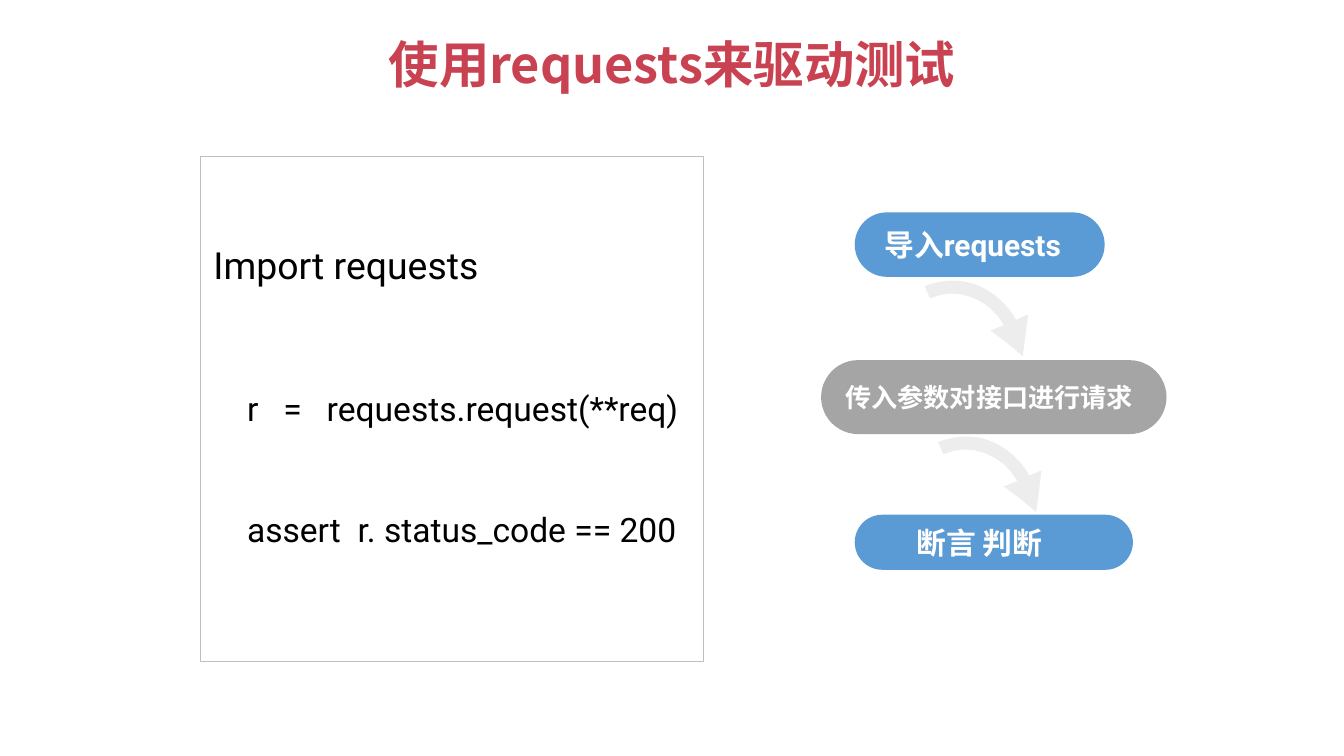
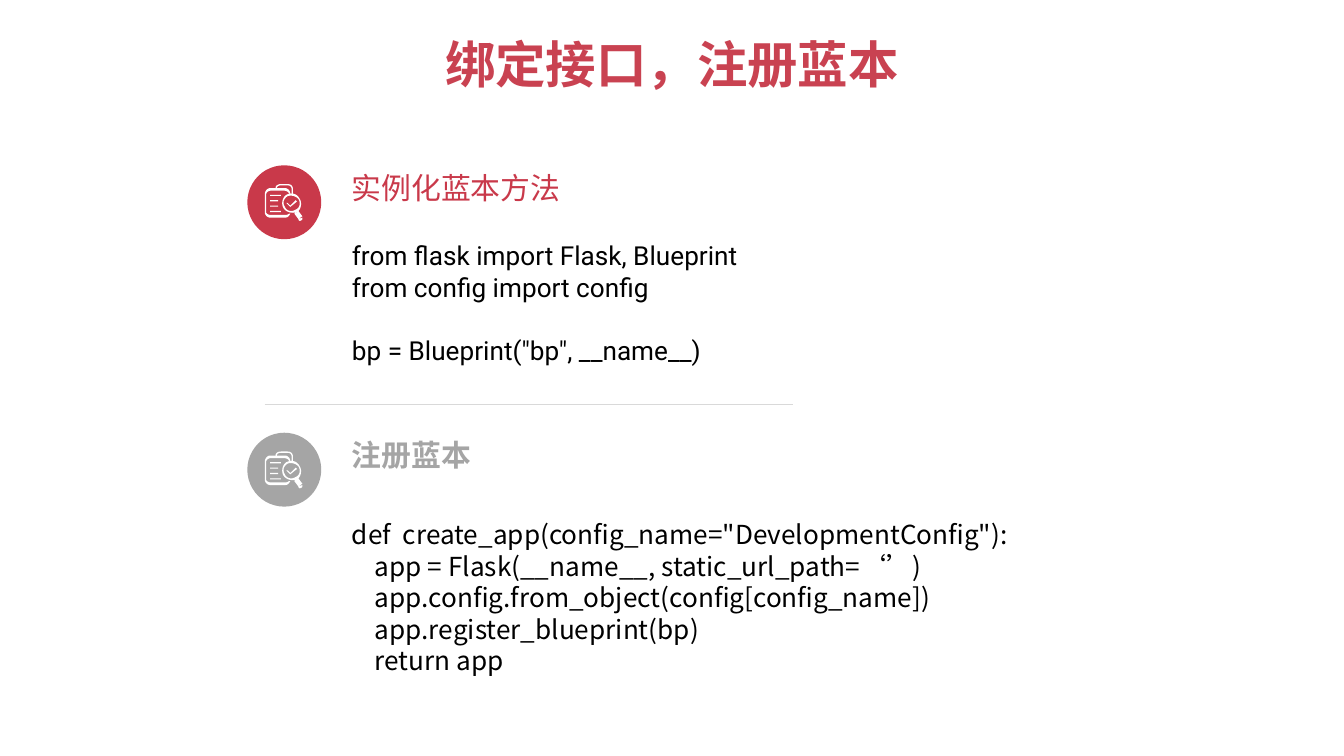
from lxml.etree import SubElement
from pptx import Presentation
from pptx.dml.color import RGBColor
from pptx.enum.shapes import MSO_CONNECTOR, MSO_SHAPE
from pptx.enum.text import MSO_ANCHOR, MSO_AUTO_SIZE, PP_ALIGN
from pptx.oxml.ns import qn
from pptx.util import Pt

PX = 9144  # EMU in one px, 100 px to the inch
SANS, ROBOTO = "Noto Sans CJK SC", "Roboto"
TITLE_RED, RED, GRAY, BLUE = "C94251", "C9394A", "A5A5A5", "5B9BD5"
PALE, RULE, BORDER = "EDEDED", "D9D9D9", "BFBFBF"
BLACK, WHITE = "000000", "FFFFFF"
hex_color = RGBColor.from_string


def write(shape, lines, font, color, bold=False, spacing=1.0, margins=(10, 5, 10, 5),
          anchor=MSO_ANCHOR.TOP, align=PP_ALIGN.LEFT):
    """Fill a shape with lines given as (text, size, indent in px, points before)."""
    frame = shape.text_frame
    frame.word_wrap = True
    frame.auto_size = MSO_AUTO_SIZE.NONE
    frame.vertical_anchor = anchor
    (frame.margin_left, frame.margin_top,
     frame.margin_right, frame.margin_bottom) = (m * PX for m in margins)
    for number, (text, size, indent, before) in enumerate(lines):
        para = frame.add_paragraph() if number else frame.paragraphs[0]
        para.text = text
        para.alignment = align
        para.line_spacing = spacing
        para.space_before = Pt(before)
        para.font.size = Pt(size)
        para.font.name = font
        para.font.bold = bold
        para.font.color.rgb = hex_color(color)
        properties = para._p.get_or_add_pPr()
        properties.set("marL", str(indent * PX))
        properties.set("indent", "0")
        SubElement(properties.find(qn("a:defRPr")), qn("a:ea"), typeface=SANS)


def draw_outline(page, contours, dx, dy, color):
    """Draw closed contours of points (x, y) and Bézier curves (x1, y1, x2, y2, x, y)."""
    builder = None
    for start, *steps in contours:
        points = [start]
        for step in steps:
            if len(step) == 2:
                points.append(step)
                continue
            x0, y0 = points[-1]
            x1, y1, x2, y2, x3, y3 = step
            for t in (k / 8 for k in range(1, 9)):
                a, b, c, d = (1 - t) ** 3, 3 * t * (1 - t) ** 2, 3 * t * t * (1 - t), t ** 3
                points.append((a * x0 + b * x1 + c * x2 + d * x3,
                               a * y0 + b * y1 + c * y2 + d * y3))
        first, *rest = [((x + dx) * PX, (y + dy) * PX) for x, y in points]
        if builder is None:
            builder = page.shapes.build_freeform(*first)
        else:
            builder.move_to(*first)
        builder.add_line_segments(rest, close=True)
    outline = builder.convert_to_shape()
    outline.shadow.inherit = False
    outline.fill.solid()
    outline.fill.fore_color.rgb = hex_color(color)
    outline.line.fill.background()


deck = Presentation()
deck.slide_width = 1000 * PX
deck.slide_height = deck.slide_width * 9 // 16

pages = []
for heading in ("使用requests来驱动测试", "绑定接口，注册蓝本"):
    page = deck.slides.add_slide(deck.slide_layouts[5])
    title = page.shapes.title
    title.left, title.top, title.width, title.height = (n * PX for n in (50, 23, 900, 94))
    write(title, [(heading, 27, 0, 0)], SANS, TITLE_RED, bold=True, spacing=0.93,
          margins=(5, 6, 5, 5), align=PP_ALIGN.CENTER)
    pages.append(page)
request_page, blueprint_page = pages

# Slide 1: code panel and the three steps
panel = request_page.shapes.add_shape(
    MSO_SHAPE.RECTANGLE, 149 * PX, 116 * PX, 374 * PX, 376 * PX)
panel.shadow.inherit = False
panel.fill.background()
panel.line.color.rgb = hex_color(BORDER)
panel.line.width = Pt(0.25)
write(panel, [("Import requests", 20, 0, 0),
              ("r   =   requests.request(**req)", 18, 25, 54),
              ("assert  r. status_code == 200", 18, 25, 43.5)],
      ROBOTO, BLACK, margins=(10, 64, 0, 5))

steps = [
    ("导入requests", 16, BLUE, 15, (636, 158, 186, 48)),
    ("传入参数对接口进行请求", 14, GRAY, 10, (611, 268, 257, 55)),
    ("断言 判断", 16, BLUE, 40, (636, 383, 207, 41)),
]
for text, size, color, margin, place in steps:
    pill = request_page.shapes.add_shape(
        MSO_SHAPE.ROUNDED_RECTANGLE, *(n * PX for n in place))
    pill.adjustments[0] = 0.5
    pill.shadow.inherit = False
    pill.fill.solid()
    pill.fill.fore_color.rgb = hex_color(color)
    pill.line.fill.background()
    write(pill, [(text, size, 0, 0)], ROBOTO, WHITE, bold=True,
          margins=(margin, 5, 0, 5), anchor=MSO_ANCHOR.MIDDLE)

curved_arrow = [[
    (763, 250), (765, 234), (756, 238), (750, 227, 740, 218, 729, 213),
    (715, 207, 701, 208, 688, 213), (692, 222), (712, 213, 736, 222, 747, 242),
    (737, 246), (749, 255), (761, 265),
]]
for dx, dy in ((0, 0), (10, 116)):
    draw_outline(request_page, curved_arrow, dx, dy, PALE)

# Slide 2: two sections, each with a badge, a heading and code
clipboard_icon = [
    [(215, 159), (215, 159, 215, 159, 216, 159), (215, 161, 214, 162, 212, 162),
     (201, 162), (199, 162, 197, 160, 197, 158), (197, 145),
     (197, 142, 199, 140, 201, 140), (205, 140), (205, 138, 207, 137, 209, 137),
     (214, 137), (217, 137, 218, 139, 218, 141), (218, 144),
     (218, 144, 218, 144, 217, 144), (217, 141), (217, 139, 216, 138, 214, 138),
     (209, 138), (207, 138, 206, 139, 206, 140), (212, 140),
     (214, 140, 216, 142, 216, 144), (216, 144, 215, 144, 215, 144),
     (215, 143, 213, 142, 212, 142), (201, 142), (200, 142, 198, 143, 198, 145),
     (198, 158), (198, 159, 200, 160, 201, 160), (212, 160),
     (213, 160, 214, 160, 215, 159)],
    [(221, 158), (217, 159, 213, 158, 211, 155), (209, 152, 210, 147, 213, 145),
     (217, 143, 221, 144, 223, 148), (225, 151, 224, 156, 221, 158)],
    [(220, 156), (223, 155, 224, 151, 222, 148), (220, 146, 217, 145, 214, 146),
     (211, 148, 210, 151, 212, 154), (213, 157, 217, 158, 220, 156)],
    [(222, 157), (219, 159), (222, 163), (225, 161)],
    [(225, 162), (222, 163), (222, 164, 223, 165, 224, 164),
     (225, 164, 225, 163, 225, 162)],
    [(216, 153), (214, 151), (213, 151), (216, 154), (221, 150), (220, 149)],
]
for right, y in ((209, 145), (207, 149), (207, 153), (209, 157)):
    clipboard_icon.append([(201, y), (right, y), (right, y + 0.8), (201, y + 0.8)])

blueprint_code = [
    ("from flask import Flask, Blueprint", 14, 0, 0),
    ("from config import config", 14, 0, 0),
    ('bp = Blueprint("bp", __name__)', 14, 0, 17),
]
app_code = [
    ('def  create_app(config_name="DevelopmentConfig"):', 14, 0, 0),
    ("app = Flask(__name__, static_url_path=‘’)", 14, 17, 0),
    ("app.config.from_object(config[config_name])", 14, 17, 0),
    ("app.register_blueprint(bp)", 14, 17, 0),
    ("return app", 14, 17, 0),
]
sections = [
    (0, "实例化蓝本方法", SANS, False, RED, blueprint_code, ROBOTO, 17, 5,
     (252, 173, 522, 109)),
    (199, "注册蓝本", ROBOTO, True, GRAY, app_code, SANS, 16.8, 28,
     (252, 358, 637, 81)),
]
for dy, heading, font, bold, color, code, code_font, spacing, margin, place in sections:
    code_box = blueprint_page.shapes.add_textbox(*(n * PX for n in place))
    write(code_box, code, code_font, BLACK, spacing=Pt(spacing), margins=(10, margin, 10, 5))
    heading_box = blueprint_page.shapes.add_textbox(
        252 * PX, (120 + dy) * PX, 344 * PX, 39 * PX)
    write(heading_box, [(heading, 16, 0, 0)], font, color, bold=bold,
          anchor=MSO_ANCHOR.MIDDLE)
    badge = blueprint_page.shapes.add_shape(
        MSO_SHAPE.OVAL, 184 * PX, (123 + dy) * PX, 55 * PX, 55 * PX)
    badge.shadow.inherit = False
    badge.fill.solid()
    badge.fill.fore_color.rgb = hex_color(color)
    badge.line.fill.background()
    draw_outline(blueprint_page, clipboard_icon, 0, dy, WHITE)

divider = blueprint_page.shapes.add_connector(
    MSO_CONNECTOR.STRAIGHT, 197 * PX, 301 * PX, 590 * PX, 301 * PX)
divider.line.color.rgb = hex_color(RULE)
divider.line.width = Pt(0.25)
SubElement(divider._element.spPr, qn("a:effectLst"))

deck.save("out.pptx")
